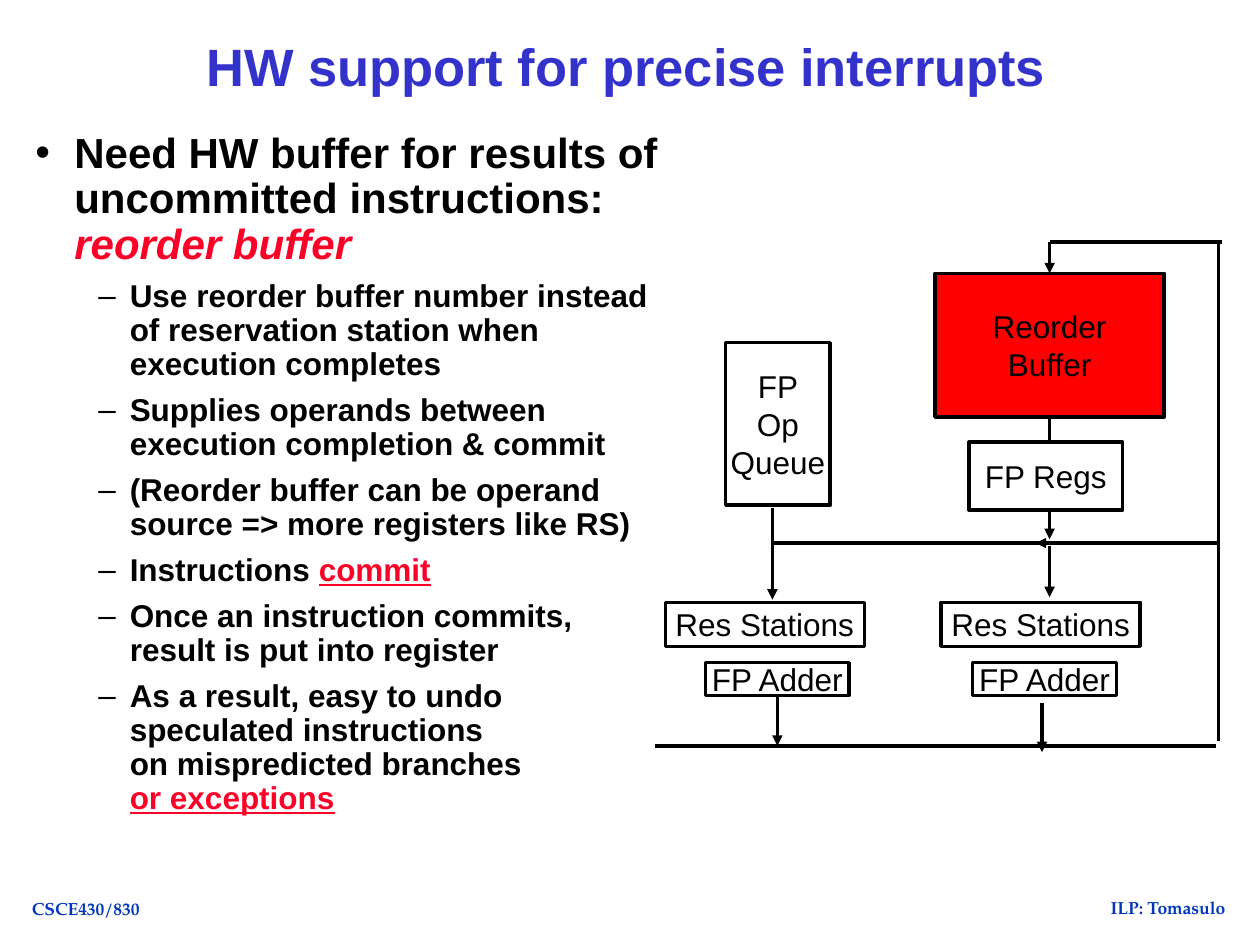
from lxml import etree
from pptx import Presentation
from pptx.dml.color import RGBColor
from pptx.enum.shapes import MSO_CONNECTOR, MSO_SHAPE
from pptx.enum.text import MSO_ANCHOR, MSO_AUTO_SIZE, PP_ALIGN
from pptx.oxml.ns import qn
from pptx.util import Inches, Pt

CENTER, LEFT = PP_ALIGN.CENTER, PP_ALIGN.LEFT
MIDDLE, TOP = MSO_ANCHOR.MIDDLE, MSO_ANCHOR.TOP
NO_FIT, FIT_SHAPE = MSO_AUTO_SIZE.NONE, MSO_AUTO_SIZE.SHAPE_TO_FIT_TEXT
RECTANGLE, STRAIGHT = MSO_SHAPE.RECTANGLE, MSO_CONNECTOR.STRAIGHT
TOP_SIDE, BOTTOM_SIDE = 0, 2

BLACK = RGBColor(0x00, 0x00, 0x00)
WHITE = RGBColor(0xFF, 0xFF, 0xFF)
RED = RGBColor(0xFF, 0x00, 0x00)
ACCENT = RGBColor(0xFC, 0x01, 0x28)
TITLE_BLUE = RGBColor(0x33, 0x33, 0xCC)
FOOTER_BLUE = RGBColor(0x02, 0x37, 0xBC)

REORDER = {"color": ACCENT, "italic": True}
COMMIT = {"color": ACCENT, "underline": True}
BODY = [
    (0, [("Need HW buffer for results of uncommitted instructions: ", {}),
         ("reorder buffer", REORDER)]),
    (1, [("Use reorder buffer number instead of reservation station when "
          "execution completes", {})]),
    (1, [("Supplies operands between execution completion & commit", {})]),
    (1, [("(Reorder buffer can be operand source => more registers like RS)", {})]),
    (1, [("Instructions ", {}), ("commit", COMMIT)]),
    (1, [("Once an instruction commits, \nresult is put into register", {})]),
    (1, [("As a result, easy to undo speculated instructions \n"
          "on mispredicted branches \n", {}), ("or exceptions", COMMIT)]),
]
LEVELS = [
    {"size": 24, "before": 9, "margin": 0.31, "indent": -0.31},
    {"size": 18, "before": 6.8, "margin": 0.75, "indent": -0.25},
]


def add_text(paragraph, text, size=18, font="Arial", color=BLACK,
             bold=False, italic=False, underline=False):
    """Append formatted text, turning newlines into line breaks."""
    for index, line in enumerate(text.split("\n")):
        if index:
            paragraph.add_line_break()
        if line:
            run = paragraph.add_run()
            run.text = line
            run.font.size = Pt(size)
            run.font.name = font
            run.font.color.rgb = color
            run.font.bold = bold
            run.font.italic = italic
            run.font.underline = underline


class SlideBuilder:
    """Holds the diagram style and the current slide."""

    line_width = Pt(2)
    line_color = BLACK
    line_spacing = 0.9

    def __init__(self, slide):
        self.slide = slide

    def place(self, shape, left, top, width, height):
        shape.left, shape.top = Inches(left), Inches(top)
        shape.width, shape.height = Inches(width), Inches(height)

    def title(self, text, *bounds):
        shape = self.slide.shapes.title
        self.place(shape, *bounds)
        frame = shape.text_frame
        frame.auto_size = NO_FIT
        frame.vertical_anchor = MIDDLE
        paragraph = frame.paragraphs[0]
        paragraph.alignment = CENTER
        paragraph.line_spacing = self.line_spacing
        add_text(paragraph, text, size=30, color=TITLE_BLUE, bold=True)

    def body(self, items, *bounds):
        shape = self.slide.placeholders[1]
        self.place(shape, *bounds)
        frame = shape.text_frame
        frame.auto_size = NO_FIT
        frame.vertical_anchor = TOP
        for index, (level, runs) in enumerate(items):
            paragraph = frame.add_paragraph() if index else frame.paragraphs[0]
            style = LEVELS[level]
            paragraph.level = level
            paragraph.alignment = LEFT
            paragraph.line_spacing = self.line_spacing
            paragraph.space_before = Pt(style["before"] if index else 0)
            properties = paragraph._p.get_or_add_pPr()
            properties.set("marL", str(Inches(style["margin"])))
            properties.set("indent", str(Inches(style["indent"])))
            for text, emphasis in runs:
                add_text(paragraph, text, size=style["size"], bold=True, **emphasis)

    def footer(self, text, *bounds):
        shape = self.slide.shapes.add_textbox(*map(Inches, bounds))
        frame = shape.text_frame
        frame.word_wrap = False
        frame.auto_size = FIT_SHAPE
        paragraph = frame.paragraphs[0]
        paragraph.alignment = CENTER
        add_text(paragraph, text, size=10, font="TeX Gyre Pagella",
                 color=FOOTER_BLUE, bold=True)

    def box(self, lines, *bounds, fill=WHITE):
        shape = self.slide.shapes.add_shape(RECTANGLE, *map(Inches, bounds))
        shape.shadow.inherit = False
        shape.fill.solid()
        shape.fill.fore_color.rgb = fill
        shape.line.color.rgb = self.line_color
        shape.line.width = self.line_width
        frame = shape.text_frame
        frame.word_wrap = False
        frame.vertical_anchor = MIDDLE
        for index, line in enumerate(lines):
            paragraph = frame.add_paragraph() if index else frame.paragraphs[0]
            paragraph.alignment = CENTER
            add_text(paragraph, line)
        return shape

    def line(self, *ends, arrow=False, begin=None, end=None):
        connector = self.slide.shapes.add_connector(STRAIGHT, *map(Inches, ends))
        connector.line.color.rgb = self.line_color
        connector.line.width = self.line_width
        if arrow:
            outline = connector.line._get_or_add_ln()
            etree.SubElement(outline, qn("a:tailEnd"), type="triangle")
        etree.SubElement(connector._element.spPr, qn("a:effectLst"))
        if begin is not None:
            connector.begin_connect(begin, BOTTOM_SIDE)
        if end is not None:
            connector.end_connect(end, TOP_SIDE)


def main():
    presentation = Presentation()
    presentation.slide_width, presentation.slide_height = Inches(10), Inches(7.5)
    builder = SlideBuilder(presentation.slides.add_slide(presentation.slide_layouts[1]))

    builder.footer("ILP: Tomasulo", 8.67, 7.07, 1.2, 0.26)
    builder.footer("CSCE430/830", 0.15, 7.08, 1.06, 0.26)
    builder.title("HW support for precise interrupts", 0.58, 0.33, 8.78, 0.45)
    builder.body(BODY, 0.18, 1, 5.24, 6.17)

    reorder_buffer = builder.box(["Reorder", "Buffer"], 7.42, 2.17, 1.82, 1.14, fill=RED)
    builder.box(["FP", "Op", "Queue"], 5.76, 2.72, 0.83, 1.29)
    left_adder, _ = [builder.box(["FP Adder"], left, 5.26, 1.14, 0.26)
                     for left in (5.6, 7.72)]
    for left in (5.28, 7.47):
        builder.box(["Res Stations"], left, 4.78, 1.58, 0.35)

    builder.line(5.2, 5.92, 9.65, 5.92)
    builder.line(9.67, 1.93, 9.67, 5.88)
    builder.line(9.7, 1.92, 8.33, 1.92)
    builder.line(8.33, 1.92, 8.33, 2.17, arrow=True, end=reorder_buffer)
    builder.line(6.17, 5.52, 6.17, 5.92, arrow=True, begin=left_adder)
    builder.line(8.27, 5.58, 8.27, 5.97, arrow=True)
    builder.line(6.13, 4.03, 6.13, 4.76, arrow=True)
    builder.line(6.14, 4.31, 8.26, 4.31)
    builder.line(8.33, 4.33, 8.33, 4.74, arrow=True)
    builder.line(8.33, 3.31, 8.33, 4.28, arrow=True, begin=reorder_buffer)
    builder.line(9.68, 4.31, 8.22, 4.31, arrow=True)
    builder.box(["FP Regs"], 7.69, 3.51, 1.22, 0.54)

    presentation.save("out.pptx")


if __name__ == "__main__":
    main()
